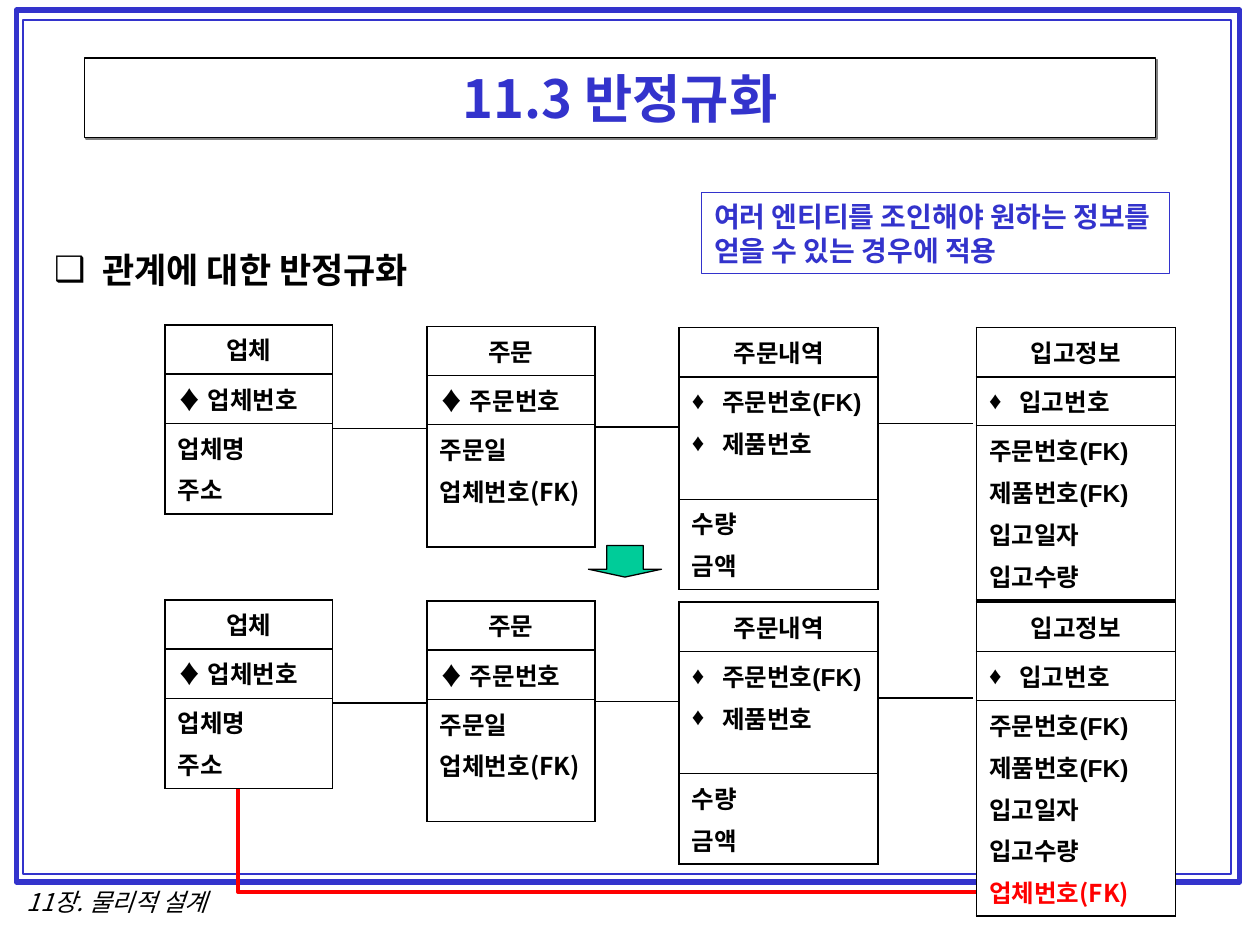
from dataclasses import dataclass

from lxml.etree import SubElement
from pptx import Presentation
from pptx.dml.color import RGBColor
from pptx.enum.shapes import MSO_CONNECTOR, MSO_SHAPE
from pptx.enum.text import MSO_ANCHOR, MSO_AUTO_SIZE, PP_ALIGN
from pptx.oxml.ns import qn
from pptx.util import Inches, Pt

COLORS = {"blue": "3333CC", "black": "000000", "white": "FFFFFF",
          "gray": "808080", "green": "00CC99", "red": "FF0000"}
KOREAN = "Noto Sans CJK KR"
LATIN = "Arial"


@dataclass
class Entity:
    name: str
    box: tuple  # left, top, width
    keys: list
    attributes: list
    foreign_keys: tuple = ()
    bulleted: bool = False
    filled: bool = False  # hides what runs behind the attributes
    added: str = ""  # attribute gained by denormalization
    wrapped: tuple = (0, 0, 0)  # extra wrapped lines in each row


ENTITIES = [
    Entity("업체", (1.31, 2.58, 1.33), ["♦ 업체번호"], ["업체명", "주소"], filled=True),
    Entity("주문", (3.39, 2.59, 1.33), ["♦ 주문번호"], ["주문일", "업체번호(FK)"],
           wrapped=(0, 0, 1)),
    Entity("주문내역", (5.39, 2.6, 1.58), ["주문번호(FK)", "제품번호"], ["수량", "금액"],
           bulleted=True, wrapped=(0, 1, 0)),
    Entity("입고정보", (7.75, 2.6, 1.58), ["입고번호"], ["입고일자", "입고수량"],
           foreign_keys=("주문번호(FK)", "제품번호(FK)"), bulleted=True, filled=True,
           added="업체번호(FK)"),
]
RELATIONS = [(2.64, 3.39, 3.4), (4.72, 5.39, 3.39), (6.97, 7.72, 3.36)]  # from, to, height
ROW_STEP = 2.18


def rgb(name):
    return RGBColor.from_string(COLORS[name])


def inches(*lengths):
    return [Inches(length) for length in lengths]


def format_paragraph(para, size, color="black", bold=True, italic=False, font=KOREAN):
    for span in para.runs:
        span.font.size = Pt(size)
        span.font.bold = bold
        span.font.italic = italic
        span.font.name = font
        span.font.color.rgb = rgb(color)
        SubElement(span.font._element, qn("a:ea"), typeface=KOREAN)


def set_bullet(para, char, indent):
    properties = para._p.get_or_add_pPr()
    properties.set("marL", str(Inches(indent)))
    properties.set("indent", str(-Inches(indent)))
    color = SubElement(properties, qn("a:buClr"))
    SubElement(color, qn("a:srgbClr"), val=COLORS["black"])
    SubElement(properties, qn("a:buFont"), typeface=LATIN)
    SubElement(properties, qn("a:buChar"), char=char)


def add_outline(page, kind, box, color, width, fill=None):
    shape = page.shapes.add_shape(kind, *inches(*box))
    shape.shadow.inherit = False
    shape.line.color.rgb = rgb(color)
    shape.line.width = Pt(width)
    if fill:
        shape.fill.solid()
        shape.fill.fore_color.rgb = rgb(fill)
    else:
        shape.fill.background()
    return shape


def add_frame(page):
    add_outline(page, MSO_SHAPE.RECTANGLE, (0.13, 0.08, 9.71, 6.92), "blue", 3)
    add_outline(page, MSO_SHAPE.RECTANGLE, (0.18, 0.16, 9.59, 6.78), "blue", 1)


def add_footer(page, box):
    footer = page.shapes.add_textbox(*inches(*box))
    footer.text_frame.word_wrap = False
    footer.text_frame.text = "11장. 물리적 설계"
    para = footer.text_frame.paragraphs[0]
    para.alignment = PP_ALIGN.CENTER
    format_paragraph(para, 14, bold=False, italic=True)


def fill_title(title, box):
    title.left, title.top, title.width, title.height = inches(*box)
    title.fill.solid()
    title.fill.fore_color.rgb = rgb("white")
    title.line.color.rgb = rgb("black")
    title.line.width = Pt(0.75)
    effects = SubElement(title._element.spPr, qn("a:effectLst"))
    shadow = SubElement(effects, qn("a:outerShdw"), dist=str(Pt(1.4)), dir="2700000")
    SubElement(shadow, qn("a:srgbClr"), val=COLORS["gray"])
    title.text_frame.text = "11.3 반정규화"
    title.text_frame.vertical_anchor = MSO_ANCHOR.MIDDLE
    para = title.text_frame.paragraphs[0]
    para.alignment = PP_ALIGN.CENTER
    format_paragraph(para, 30, "blue")


def fill_body(body, box):
    body.left, body.top, body.width, body.height = inches(*box)
    body.text_frame.text = "관계에 대한 반정규화"
    para = body.text_frame.paragraphs[0]
    para.space_before = Pt(5)
    set_bullet(para, "❑", 0.38)
    format_paragraph(para, 20)


def add_note(page, box):
    note = add_outline(page, MSO_SHAPE.RECTANGLE, box, "blue", 0.75)
    frame = note.text_frame
    frame.word_wrap = False
    frame.auto_size = MSO_AUTO_SIZE.SHAPE_TO_FIT_TEXT
    frame.text = "여러 엔티티를 조인해야 원하는 정보를\n얻을 수 있는 경우에 적용"
    for para in frame.paragraphs:
        para.alignment = PP_ALIGN.LEFT
        format_paragraph(para, 16, "blue")


def set_borders(cell, top, bottom):
    properties = cell._tc.get_or_add_tcPr()
    widths = {"a:lnL": 1.08, "a:lnR": 1.08, "a:lnT": top, "a:lnB": bottom}
    for position, (tag, width) in enumerate(widths.items()):
        line = properties.makeelement(qn(tag), {"w": str(Pt(width))})
        fill = SubElement(line, qn("a:solidFill"))
        SubElement(fill, qn("a:srgbClr"), val=COLORS["black"])
        properties.insert(position, line)


def add_entity(page, entity, box, denormalized):
    """Table with a name row, a key row and an attribute row."""
    attributes = [(text, LATIN, "black") for text in entity.foreign_keys]
    attributes += [(text, KOREAN, "black") for text in entity.attributes]
    if denormalized and entity.added:
        attributes.append((entity.added, KOREAN, "red"))
    rows = [[(entity.name, LATIN, "black")],
            [(text, LATIN, "black") for text in entity.keys], attributes]
    heights = [0.06 + 0.33 * len(lines) + 0.25 * extra
               for lines, extra in zip(rows, entity.wrapped)]
    left, top, width = box
    table = page.shapes.add_table(3, 1, *inches(left, top, width, sum(heights))).table
    table.first_row = table.horz_banding = False
    borders = [(1.08, 1.08), (1.08, 0.45), (0.45, 1.08)]
    for index, lines in enumerate(rows):
        table.rows[index].height = Inches(heights[index])
        cell = table.cell(index, 0)
        cell.text_frame.text = "\n".join(text for text, _, _ in lines)
        for para, (_, font, color) in zip(cell.text_frame.paragraphs, lines):
            para.space_before = Pt(3.5)
            para.alignment = PP_ALIGN.CENTER if index == 0 else PP_ALIGN.LEFT
            if index == 1 and entity.bulleted:
                set_bullet(para, "♦", 0.24)
            format_paragraph(para, 14, color, font=font)
        if index == 2 and denormalized and entity.filled:
            cell.fill.solid()
            cell.fill.fore_color.rgb = rgb("white")
        else:
            cell.fill.background()
        set_borders(cell, *borders[index])


def add_model(page, offset, denormalized):
    """One row of entities with the relations between them."""
    for entity in ENTITIES:
        left, top, width = entity.box
        add_entity(page, entity, (left, top + offset, width), denormalized)
    for start, end, height in RELATIONS:
        line = page.shapes.add_connector(
            MSO_CONNECTOR.STRAIGHT, *inches(start, height + offset, end, height + offset))
        line.line.color.rgb = rgb("black")
        line.line.width = Pt(0.75)
        SubElement(line._element.spPr, qn("a:effectLst"))


def add_new_relation(page, points):
    start, *others = [inches(*point) for point in points]
    builder = page.shapes.build_freeform(*start)
    builder.add_line_segments(others, close=False)
    relation = builder.convert_to_shape()
    relation.shadow.inherit = False
    relation.fill.background()
    relation.line.color.rgb = rgb("red")
    relation.line.width = Pt(2.25)


def main():
    deck = Presentation()
    deck.slide_width, deck.slide_height = inches(10, 7.5)
    page = deck.slides.add_slide(deck.slide_layouts[1])

    # Frame, title and text
    add_frame(page)
    add_footer(page, (0.04, 6.99, 1.78, 0.34))
    fill_title(page.shapes.title, (0.67, 0.46, 8.5, 0.63))
    fill_body(page.placeholders[1], (0.33, 1.92, 9.27, 4.86))

    # Model before and after denormalization
    add_model(page, 0, False)
    add_outline(page, MSO_SHAPE.DOWN_ARROW, (4.67, 4.33, 0.58, 0.25), "black", 0.75,
                "green").adjustments[1] = 0.25
    add_new_relation(page, [(8.39, 6.8), (8.39, 7.08), (1.89, 7.08), (1.89, 6.08)])
    add_model(page, ROW_STEP, True)

    add_note(page, (5.57, 1.53, 3.71, 0.64))
    deck.save("out.pptx")


if __name__ == "__main__":
    main()
